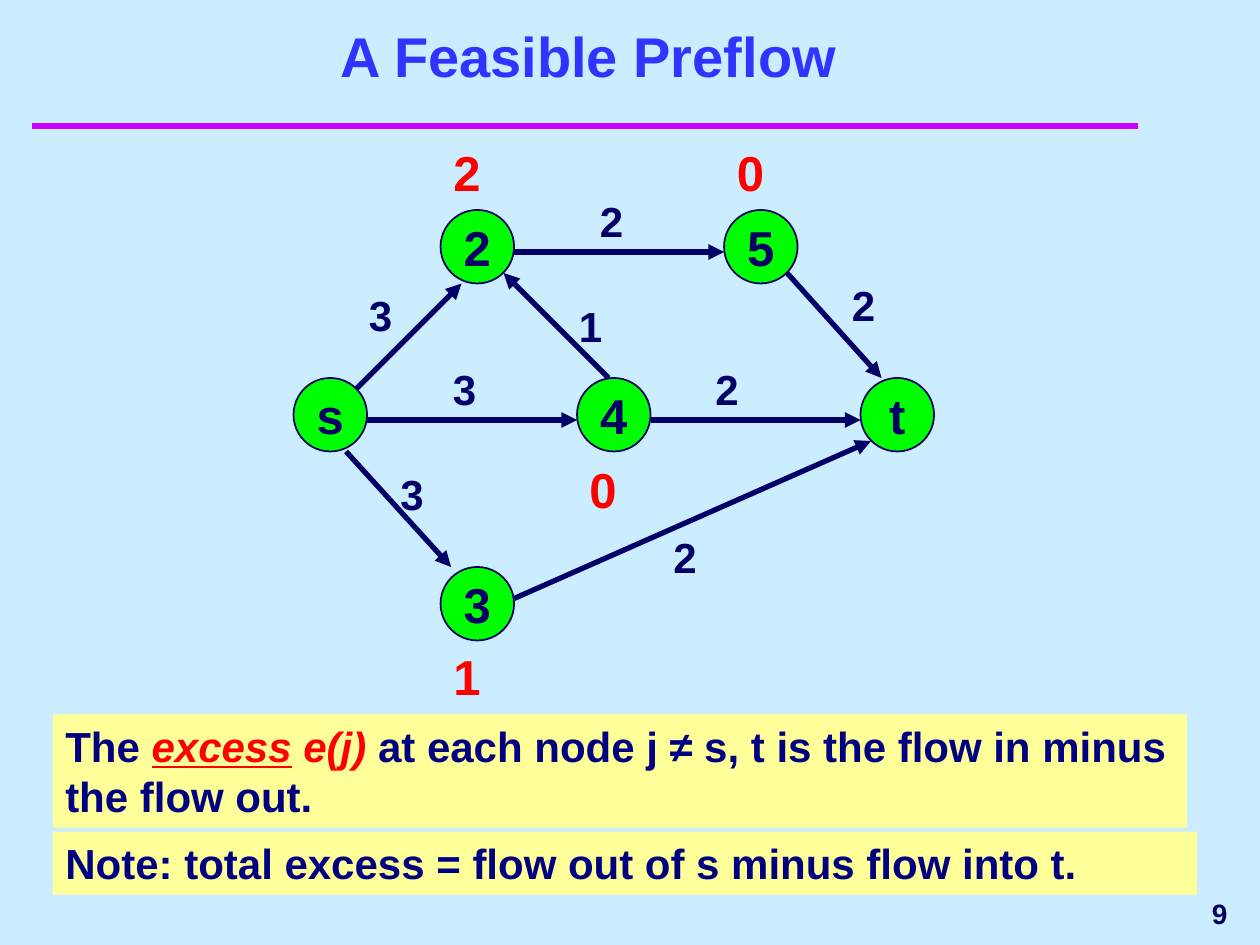
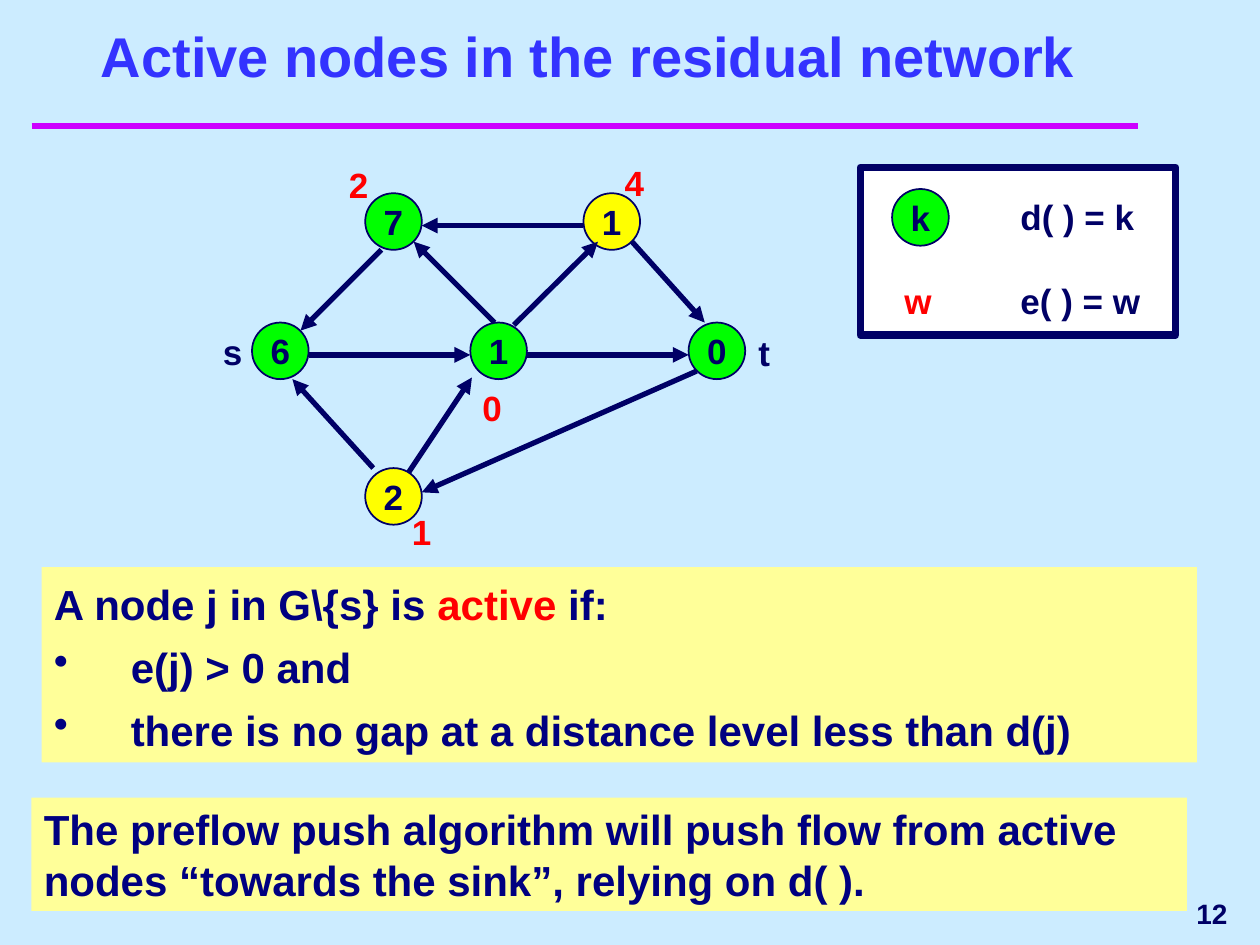
from lxml.etree import SubElement
from pptx import Presentation
from pptx.dml.color import RGBColor
from pptx.enum.shapes import MSO_CONNECTOR, MSO_SHAPE
from pptx.enum.text import MSO_ANCHOR, PP_ALIGN
from pptx.oxml.ns import qn
from pptx.util import Inches, Pt

SKY = RGBColor(0xCC, 0xEC, 0xFF)
MAGENTA = RGBColor(0xCC, 0x00, 0xFF)
TITLE_BLUE = RGBColor(0x33, 0x33, 0xFF)
INK = RGBColor(0x00, 0x00, 0x66)
NAVY = RGBColor(0x00, 0x00, 0x80)
RED = RGBColor(0xFF, 0x00, 0x00)
GREEN = RGBColor(0x00, 0xFF, 0x00)
YELLOW = RGBColor(0xFF, 0xFF, 0x00)
CREAM = RGBColor(0xFF, 0xFF, 0x99)
WHITE = RGBColor(0xFF, 0xFF, 0xFF)
FONT = "Arial"

# The network, in grid units measured from the top left of node s
NODE_SIZE = 7
NODES = {"s": (0, 0), "2": (14, -16), "3": (14, 18),
         "4": (27, 0), "5": (41, -16), "t": (54, 0)}
EDGES = {  # name: (start, end)
    "s2": ((6, 1), (16, -9)), "s3": ((5, 7), (15, 18)),
    "25": ((21, -12), (41, -12)), "s4": ((7, 4), (27, 4)),
    "42": ((30, 0), (20, -10)), "4t": ((34, 4), (54, 4)),
    "3t": ((21, 21), (55, 6)), "5t": ((47, -10), (56, 0)),
    "45": ((32.4, 0.3), (42.8, -10)), "34": ((19.4, 18.5), (27.2, 6.8)),
}

# Slide 1: a preflow, with (flow, label position) per edge
PREFLOW = {"origin": (2.33, 3), "unit": 1 / 12, "size": 28}
FLOWS = {"s2": ("3", (6, -9)), "s3": ("3", (9, 8)), "25": ("2", (28, -18)),
         "s4": ("3", (14, -2)), "42": ("1", (26, -8)), "4t": ("2", (39, -2)),
         "3t": ("2", (35, 14)), "5t": ("2", (52, -10))}
PREFLOW_EXCESS = [("2", 3.5, 1.08), ("1", 3.5, 5.08),
                  ("0", 4.58, 3.6), ("0", 5.75, 1.08)]
EXCESS_RULE = [[("The ", NAVY, ""), ("excess", RED, "iu"), (" ", NAVY, ""),
                ("e(j)", RED, "i"),
                (" at each node j ≠ s, t is the flow in minus the flow out.",
                 NAVY, "")]]
EXCESS_NOTE = [[("Note: total excess = flow out of s minus flow into t.",
                 NAVY, "")]]

# Slide 2: the residual network, with distance labels
RESIDUAL = {"origin": (2, 2.56), "unit": 0.77 / 12, "size": 20}
DISTANCES = {"s": "6", "2": "7", "3": "2", "4": "1", "5": "1", "t": "0"}
ACTIVE = {"3", "5"}
REVERSED = {"s2", "s3", "25", "3t"}
SIDE_LABELS = [("2", 2.67, 1.25, RED), ("1", 3.17, 4, RED),
               ("0", 3.73, 3.02, RED), ("4", 4.86, 1.23, RED),
               ("s", 1.67, 2.57, INK), ("t", 5.92, 2.58, INK)]
LEGEND_TEXT = [("d( ) = k", 8, 1.5, 1.25, INK), ("w", 7.08, 2.17, 0.42, RED),
               ("e( ) = w", 8, 2.17, 1.25, INK)]
ACTIVE_RULE = [
    [("A node j in G\\{s} is ", NAVY, ""), ("active", RED, ""),
     (" if:", NAVY, "")],
    [("e(j) > 0 and", NAVY, "")],
    [("there is no gap at a distance level less than d(j)", NAVY, "")],
]
PUSH_RULE = [[("The preflow push algorithm will push flow from active nodes "
               "“towards the sink”, relying on d( ).", NAVY, "")]]


def style(font, size, color):
    font.name, font.size, font.bold = FONT, Pt(size), True
    font.color.rgb = color


def write(sp, text, size, color, align=PP_ALIGN.LEFT, anchor=MSO_ANCHOR.TOP,
          wrap=True):
    tf = sp.text_frame
    tf.word_wrap, tf.vertical_anchor = wrap, anchor
    tf.text = text
    p = tf.paragraphs[0]
    p.alignment = align
    style(p.runs[0].font, size, color)


def add_text(slide, text, x, y, w, h, size, color, **layout):
    sp = slide.shapes.add_textbox(Inches(x), Inches(y), Inches(w), Inches(h))
    write(sp, text, size, color, **layout)


def add_box(slide, preset, x, y, w, h, fill, line=None, weight=1):
    sp = slide.shapes.add_shape(preset, Inches(x), Inches(y),
                                Inches(w), Inches(h))
    sp.shadow.inherit = False
    sp.fill.solid()
    sp.fill.fore_color.rgb = fill
    if line is None:
        sp.line.fill.background()
    else:
        sp.line.color.rgb, sp.line.width = line, Pt(weight)
    return sp


def add_line(slide, start, end, color, weight, arrow=False):
    line = slide.shapes.add_connector(MSO_CONNECTOR.STRAIGHT,
                                      *map(Inches, (*start, *end)))
    line.line.color.rgb, line.line.width = color, Pt(weight)
    if arrow:
        SubElement(line.line._get_or_add_ln(), qn("a:tailEnd"), type="triangle")
    SubElement(line._element.spPr, qn("a:effectLst"))


def add_node(slide, text, x, y, diameter, size, fill=GREEN):
    sp = add_box(slide, MSO_SHAPE.OVAL, x, y, diameter, diameter, fill, INK)
    write(sp, text, size, INK, PP_ALIGN.CENTER, MSO_ANCHOR.MIDDLE, False)


def add_panel(slide, paragraphs, x, y, w, h, spacing=None):
    """Cream panel of rich text; paragraphs after the first are bulleted."""
    tf = add_box(slide, MSO_SHAPE.RECTANGLE, x, y, w, h, CREAM).text_frame
    tf.word_wrap, tf.vertical_anchor = True, MSO_ANCHOR.TOP
    for i, runs in enumerate(paragraphs):
        p = tf.add_paragraph() if i else tf.paragraphs[0]
        p.alignment, p.line_spacing = PP_ALIGN.LEFT, spacing
        if i:
            p.space_before = Pt(4.5)
            pPr = p._p.get_or_add_pPr()
            pPr.set("marL", str(Inches(0.61)))
            pPr.set("indent", str(-Inches(0.61)))
            SubElement(pPr, qn("a:buChar"), char="•")
        for text, color, marks in runs:
            r = p.add_run()
            r.text = text
            style(r.font, 24, color)
            r.font.italic, r.font.underline = "i" in marks, "u" in marks


def place(net, point):
    return tuple(o + net["unit"] * v for o, v in zip(net["origin"], point))


def add_network(slide, net, labels, edges, active=(), flipped=()):
    for name, point in NODES.items():
        add_node(slide, labels[name], *place(net, point),
                 NODE_SIZE * net["unit"], net["size"],
                 YELLOW if name in active else GREEN)
    for name in edges:
        ends = [place(net, point) for point in EDGES[name]]
        if name in flipped:
            ends.reverse()
        add_line(slide, *ends, INK, 3, arrow=True)


def new_slide(prs, title, number):
    slide = prs.slides.add_slide(prs.slide_layouts[6])
    slide.background.fill.solid()
    slide.background.fill.fore_color.rgb = SKY
    add_line(slide, (0.25, 1), (9.03, 1), MAGENTA, 4)
    add_text(slide, title, 0.42, 0.17, 8.5, 0.58, 32, TITLE_BLUE,
             align=PP_ALIGN.CENTER, anchor=MSO_ANCHOR.BOTTOM)
    add_text(slide, number, 7.92, 7, 1.92, 0.5, 16, INK,
             align=PP_ALIGN.RIGHT, anchor=MSO_ANCHOR.MIDDLE)
    return slide


def build_preflow(prs):
    slide = new_slide(prs, "A Feasible Preflow", "9")
    add_panel(slide, EXCESS_RULE, 0.42, 5.67, 9, 0.9)
    add_network(slide, PREFLOW, {name: name for name in NODES}, FLOWS)
    for flow, point in FLOWS.values():
        add_text(slide, flow, *place(PREFLOW, point), 0.5, 0.5, 24, INK)
    for excess, x, y in PREFLOW_EXCESS:
        add_text(slide, excess, x, y, 0.5, 0.57, 28, RED)
    add_panel(slide, EXCESS_NOTE, 0.42, 6.6, 9.08, 0.5)


def build_residual(prs):
    slide = new_slide(prs, "Active nodes in the residual network", "12")
    add_panel(slide, ACTIVE_RULE, 0.33, 4.5, 9.17, 1.55, spacing=1.1)
    add_panel(slide, PUSH_RULE, 0.25, 6.33, 9.17, 0.9)
    add_network(slide, RESIDUAL, DISTANCES, EDGES, ACTIVE, REVERSED)
    for text, x, y, color in SIDE_LABELS:
        add_text(slide, text, x, y, 0.39, 0.44, 20, color)
    # Legend
    add_box(slide, MSO_SHAPE.RECTANGLE, 6.83, 1.33, 2.5, 1.33, WHITE, INK, 4.5)
    add_node(slide, "k", 7.08, 1.5, 0.45, 20)
    for text, x, y, w, color in LEGEND_TEXT:
        add_text(slide, text, x, y, w, 0.44, 20, color)


def main():
    prs = Presentation()
    prs.slide_width, prs.slide_height = Inches(10), Inches(7.5)
    build_preflow(prs)
    build_residual(prs)
    prs.save("out.pptx")


if __name__ == "__main__":
    main()
